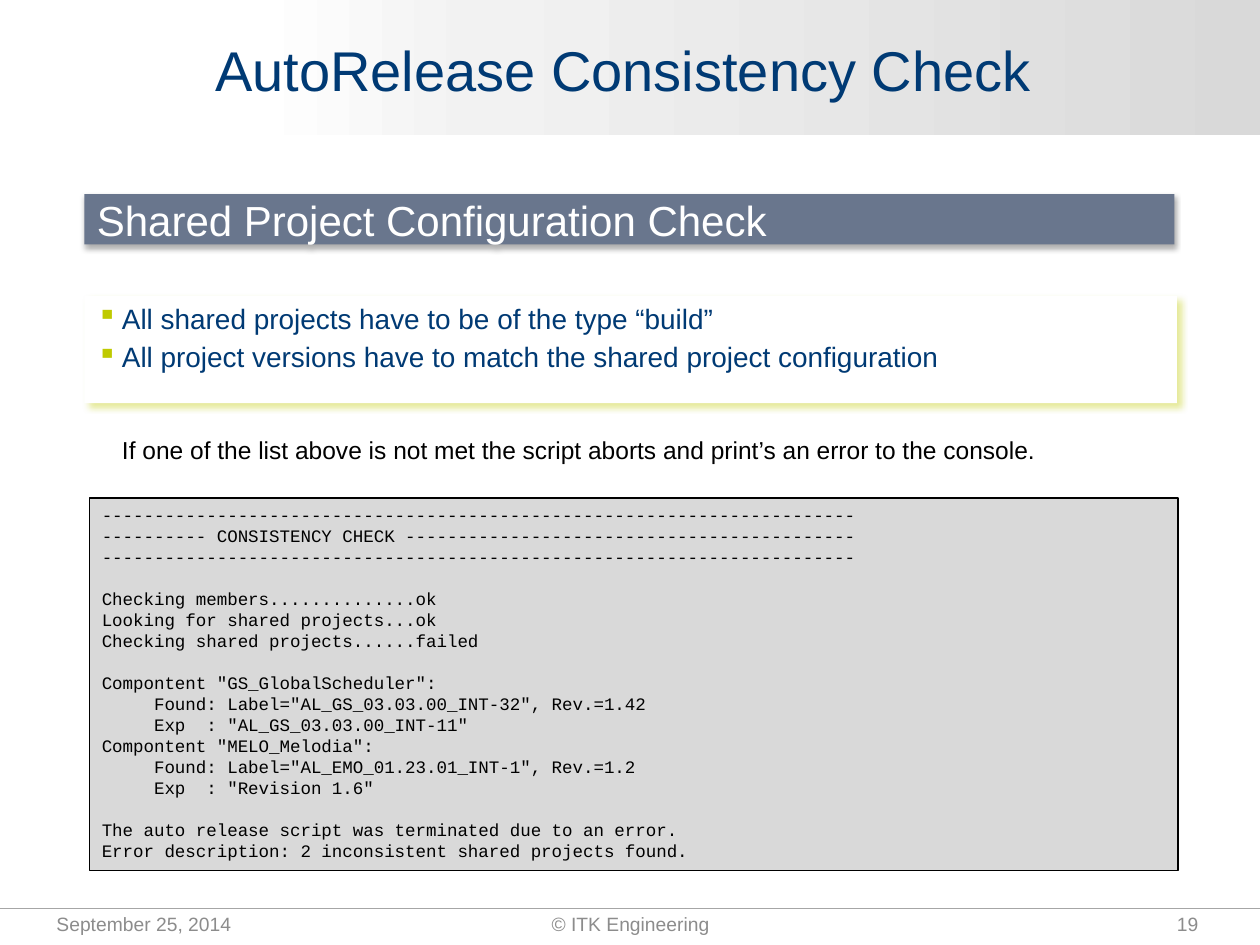
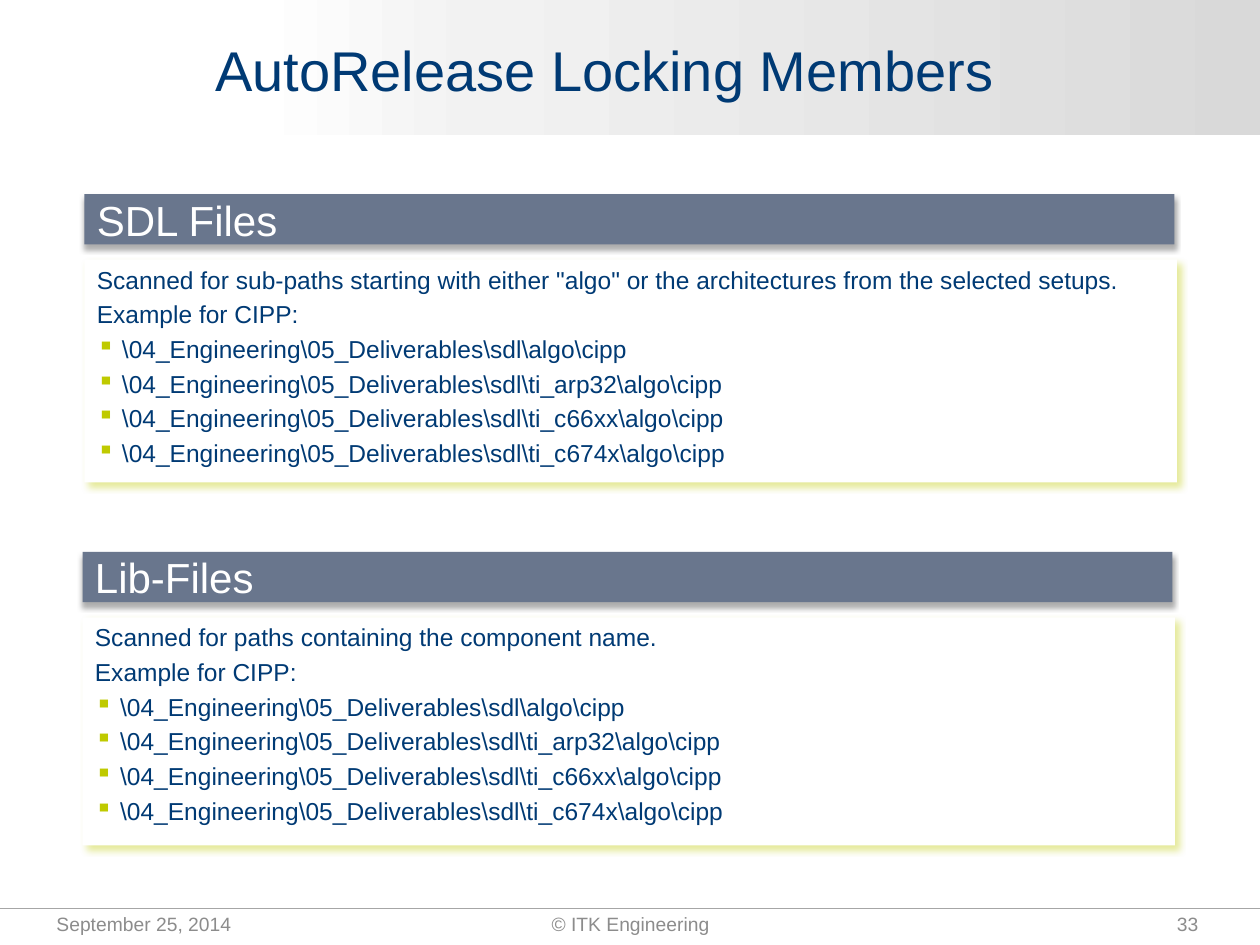
"""Build two AutoRelease slides with a shared frame, headed panels and a console."""
import dataclasses
import typing

import pptx
import pptx.dml.color
import pptx.enum.shapes
import pptx.enum.text
import pptx.oxml.ns
import pptx.util
from lxml import etree

COLORS = {
    "navy": "003A74", "slate": "69768D", "lime": "BFCA00", "white": "FFFFFF",
    "black": "000000", "silver": "D9D9D9", "mist": "F2F2F2",
    "rule": "A6A6A6", "footer": "8C8C8C",
}
SLIDE_WIDTH, SLIDE_HEIGHT = pptx.util.Inches(10), pptx.util.Inches(7.5)
COLUMNS, ROWS = 100, 75
SANS, MONO = "Arial", "Courier New"
ALIGN = pptx.enum.text.PP_ALIGN
ANCHOR = pptx.enum.text.MSO_ANCHOR
PATHS = tuple(
    rf"\04_Engineering\05_Deliverables\sdl\{branch}algo\cipp"
    for branch in ("", "ti_arp32\\", "ti_c66xx\\", "ti_c674x\\")
)
DASHES = "-" * 72
CONSOLE_BLOCKS = (
    (DASHES, "---------- CONSISTENCY CHECK " + "-" * 43, DASHES),
    ("Checking members..............ok",
     "Looking for shared projects...ok",
     "Checking shared projects......failed"),
    ('Compontent "GS_GlobalScheduler":',
     '     Found: Label="AL_GS_03.03.00_INT-32", Rev.=1.42',
     '     Exp  : "AL_GS_03.03.00_INT-11"',
     'Compontent "MELO_Melodia":',
     '     Found: Label="AL_EMO_01.23.01_INT-1", Rev.=1.2',
     '     Exp  : "Revision 1.6"'),
    ("The auto release script was terminated due to an error.",
     "Error description: 2 inconsistent shared projects found."),
)


class Box(typing.NamedTuple):
    """Position and size in grid columns and rows."""
    left: float
    top: float
    width: float
    height: float


class Shadow(typing.NamedTuple):
    """Outer shadow with opacity in percent and lengths in points."""
    color: str
    opacity: int
    blur: float
    distance: float
    angle: int


class Style(typing.NamedTuple):
    """Font of a paragraph."""
    size: float
    color: str
    name: str = SANS


@dataclasses.dataclass
class Section:
    """A heading bar with a text panel below it."""
    left: float
    top: float
    heading: str
    panel_offset: float
    panel_height: float
    size: int
    bullets: tuple[str, ...]
    intro: tuple[str, ...] = ()


HEADING_SHADOW = Shadow("black", 32, 3.5, 2.2, 90)
PANEL_SHADOW = Shadow("lime", 40, 4, 3, 45)
CONSISTENCY = Section(
    6.7, 15.4, "Shared Project Configuration Check", 8.1, 8.5, 16,
    ("All shared projects have to be of the type “build”",
     "All project versions have to match the shared project configuration"))
LOCKING = (
    Section(6.7, 15.4, "SDL Files", 5.2, 17.7, 14, PATHS,
            ('Scanned for sub-paths starting with either "algo" or the '
             "architectures from the selected setups.", "Example for CIPP:")),
    Section(6.55, 43.8, "Lib-Files", 5.2, 18.1, 14, PATHS,
            ("Scanned for paths containing the component name.",
             "Example for CIPP:")),
)


def col(n: float) -> int:
    """Return the length of n grid columns."""
    return round(SLIDE_WIDTH * n / COLUMNS)


def row(n: float) -> int:
    """Return the length of n grid rows."""
    return round(SLIDE_HEIGHT * n / ROWS)


def place(box: Box) -> tuple[int, int, int, int]:
    """Convert a grid box to slide lengths."""
    return col(box.left), row(box.top), col(box.width), row(box.height)


def rgb(color: str) -> pptx.dml.color.RGBColor:
    """Look up a palette colour."""
    return pptx.dml.color.RGBColor.from_string(COLORS[color])


def add_xml(parent, tag: str, **attributes):
    """Append a DrawingML element with the given attributes."""
    return etree.SubElement(
        parent, pptx.oxml.ns.qn(f"a:{tag}"),
        {key: str(value) for key, value in attributes.items()})


def style_paragraph(p, style: Style) -> None:
    """Apply a font style to a paragraph."""
    p.font.size = pptx.util.Pt(style.size)
    p.font.name = style.name
    p.font.color.rgb = rgb(style.color)


def add_paragraph(tf, text: str, style: Style, before: float = 0,
                  hanging: bool = False, bullet: bool = False) -> None:
    """Fill the empty first paragraph or append another one."""
    first = not tf.paragraphs[0].runs
    p = tf.paragraphs[0] if first else tf.add_paragraph()
    p.add_run().text = text
    p.alignment = ALIGN.LEFT
    if before and not first:
        p.space_before = pptx.util.Pt(before)
    if hanging:
        pPr = p._p.get_or_add_pPr()
        pPr.set("marL", str(col(2)))
        pPr.set("indent", str(-col(2)))
        if bullet:
            add_xml(add_xml(pPr, "buClr"), "srgbClr", val=COLORS["lime"])
            add_xml(pPr, "buChar", char="▪")
        else:
            add_xml(pPr, "buNone")
    style_paragraph(p, style)


def add_label(slide, box: Box, text: str, style: Style,
              align=ALIGN.LEFT, anchor=ANCHOR.MIDDLE) -> None:
    """Add a text box with one paragraph."""
    tf = slide.shapes.add_textbox(*place(box)).text_frame
    tf.word_wrap = True
    tf.vertical_anchor = anchor
    add_paragraph(tf, text, style)
    tf.paragraphs[0].alignment = align


def add_block(slide, box: Box, fill: str, shadow: Shadow | None = None):
    """Add a plain rectangle, with a shadow if one is given."""
    sp = slide.shapes.add_shape(
        pptx.enum.shapes.MSO_SHAPE.RECTANGLE, *place(box))
    sp.fill.solid()
    sp.fill.fore_color.rgb = rgb(fill)
    sp.line.fill.background()
    sp.shadow.inherit = False
    if shadow:
        effects = sp._element.spPr.find(pptx.oxml.ns.qn("a:effectLst"))
        outer = add_xml(
            effects, "outerShdw", blurRad=pptx.util.Pt(shadow.blur),
            dist=pptx.util.Pt(shadow.distance), dir=shadow.angle * 60000,
            algn="tl", rotWithShape=0)
        clr = add_xml(outer, "srgbClr", val=COLORS[shadow.color])
        add_xml(clr, "alpha", val=shadow.opacity * 1000)
    tf = sp.text_frame
    tf.word_wrap = True
    tf.vertical_anchor = ANCHOR.TOP
    return sp


def add_frame(slide, title: str, number: int) -> None:
    """Draw the gradient band, title, rule and footer."""
    band = add_block(slide, Box(0, 0, COLUMNS, 10.7), "silver")
    band.fill.gradient()
    band.fill.gradient_angle = 180
    stops = band._element.spPr.find(".//" + pptx.oxml.ns.qn("a:gsLst"))
    for stop in list(stops):
        stops.remove(stop)
    for position, color in ((0, "silver"), (62, "mist"), (80, "white")):
        stop = add_xml(stops, "gs", pos=position * 1000)
        add_xml(stop, "srgbClr", val=COLORS[color])

    rule = slide.shapes.add_connector(
        pptx.enum.shapes.MSO_CONNECTOR.STRAIGHT,
        0, row(72.1), SLIDE_WIDTH, row(72.1))
    rule.line.color.rgb = rgb("rule")
    rule.line.width = pptx.util.Pt(0.75)
    add_xml(rule._element.spPr, "effectLst")

    add_label(slide, Box(16.1, 1.3, 80.3, 8.3), title, Style(32, "navy"))
    for left, width, text, align in (
            (3.5, 23.3, "September 25, 2014", ALIGN.LEFT),
            (34.2, 31.7, "© ITK Engineering", ALIGN.CENTER),
            (72.8, 23.3, str(number), ALIGN.RIGHT)):
        add_label(slide, Box(left, 71.7, width, 4 - 0.7), text,
                  Style(11, "footer"), align)


def add_section(slide, section: Section) -> None:
    """Draw a heading bar and its panel."""
    bar = add_block(slide, Box(section.left, section.top, 86.5, 4),
                    "slate", HEADING_SHADOW)
    bar.text_frame.vertical_anchor = ANCHOR.MIDDLE
    add_paragraph(bar.text_frame, section.heading, Style(24, "white"))

    panel = add_block(
        slide, Box(section.left, section.top + section.panel_offset,
                   86.7, section.panel_height), "white", PANEL_SHADOW)
    tf = panel.text_frame
    tf.margin_top = row(0.4)
    style = Style(section.size, "navy")
    for text in section.intro:
        add_paragraph(tf, text, style, before=3, hanging=True)
    for text in section.bullets:
        add_paragraph(tf, text, style, before=3, hanging=True, bullet=True)


def add_console(slide) -> None:
    """Draw the console output."""
    sp = add_block(slide, Box(7.1, 39.5, 86.4, 29.6), "silver")
    sp.line.color.rgb = rgb("black")
    sp.line.width = pptx.util.Pt(1)
    for block in CONSOLE_BLOCKS:
        for i, text in enumerate(block):
            add_paragraph(sp.text_frame, text, Style(10, "black", MONO),
                          before=0 if i else 12)


def main() -> None:
    """Build and save the presentation."""
    prs = pptx.Presentation()
    prs.slide_width, prs.slide_height = SLIDE_WIDTH, SLIDE_HEIGHT
    blank = prs.slide_layouts[6]

    slide = prs.slides.add_slide(blank)
    add_frame(slide, "AutoRelease Consistency Check", 19)
    add_section(slide, CONSISTENCY)
    add_label(slide, Box(8.7, 34, 84.6, 3.4),
              "If one of the list above is not met the script aborts and "
              "print’s an error to the console.",
              Style(14, "black"), anchor=ANCHOR.TOP)
    add_console(slide)

    slide = prs.slides.add_slide(blank)
    add_frame(slide, "AutoRelease Locking Members", 33)
    for section in LOCKING:
        add_section(slide, section)

    prs.save("out.pptx")


if __name__ == "__main__":
    main()
